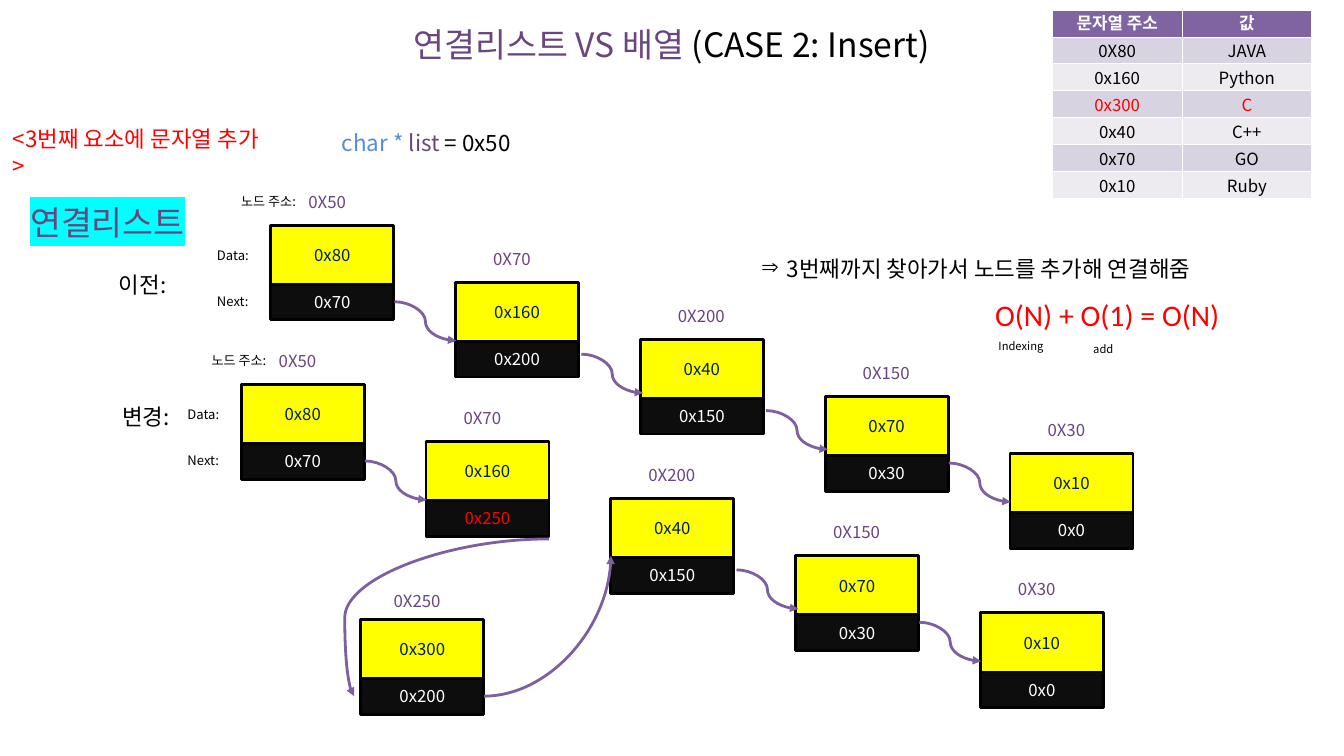
from dataclasses import dataclass

from lxml.etree import SubElement
from pptx import Presentation
from pptx.dml.color import RGBColor as RGB
from pptx.enum.shapes import MSO_CONNECTOR, MSO_SHAPE
from pptx.enum.text import MSO_ANCHOR, MSO_AUTO_SIZE, PP_ALIGN
from pptx.oxml.ns import qn
from pptx.util import Inches, Pt


@dataclass(frozen=True)
class Theme:
    """Colours, type sizes and fonts of the slide."""
    purple: str = "694680"
    arrow: str = "7D60A0"
    head: str = "8064A2"
    bands: tuple = ("D8D3E0", "EDEAF0")
    yellow: str = "FFFF00"
    dark: str = "0D0D0D"
    navy: str = "002060"
    blue: str = "558ED5"
    cyan: str = "00FFFF"
    red: str = "FF0000"
    black: str = "000000"
    white: str = "FFFFFF"
    title: int = 36
    formula: int = 32
    body: int = 24
    node: int = 18
    label: int = 14
    note: int = 12
    font: str = "Noto Sans CJK KR"
    latin: str = "Calibri"


T = Theme()
COLS, ROWS = 20, 11.25
UNIT = Inches(1)                 # one grid column = one grid row
NODE_W, DATA_H, NEXT_H = 1.83, 0.88, 0.54
STEP_X, STEP_Y = 2.75, 0.85      # from one node of a chain to the next
ARROW_W, ARROW_H = 0.92, 0.58


def grid(*cells):
    """Turn grid columns and rows into slide lengths."""
    return [int(c * UNIT) for c in cells]


def style(r, size, color, font=T.font, bold=False):
    """Format one run."""
    r.font.size, r.font.bold, r.font.name = Pt(size), bold, font
    r.font.color.rgb = RGB.from_string(color)
    SubElement(r.font._element, qn("a:ea"), typeface=font)


def text(slide, x, y, w, h, runs, size, font=T.font, wrap=False, align=None):
    """Place a text box whose runs are (text, colour) pairs; return its paragraph."""
    tf = slide.shapes.add_textbox(*grid(x, y, w, h)).text_frame
    tf.word_wrap = wrap
    tf.auto_size = MSO_AUTO_SIZE.SHAPE_TO_FIT_TEXT
    p = tf.paragraphs[0]
    p.alignment = align
    for words, color in runs:
        r = p.add_run()
        r.text = words
        style(r, size, color, font)
    return p


def cell_box(slide, x, y, h, words, fill, color):
    """Draw one compartment of a node."""
    sp = slide.shapes.add_shape(MSO_SHAPE.RECTANGLE, *grid(x, y, NODE_W, h))
    sp.shadow.inherit = False
    sp.fill.solid()
    sp.fill.fore_color.rgb = RGB.from_string(fill)
    sp.line.color.rgb = RGB.from_string(T.black)
    sp.line.width = Pt(3)
    tf = sp.text_frame
    tf.text = words
    tf.vertical_anchor = MSO_ANCHOR.MIDDLE
    tf.paragraphs[0].alignment = PP_ALIGN.CENTER
    style(tf.paragraphs[0].runs[0], T.node, color)


def node(slide, x, y, address, data, link, link_color=T.white, tag=(0.46, -0.55)):
    """Draw a node with its address above the top-left corner (x, y)."""
    cell_box(slide, x, y + DATA_H - 0.01, NEXT_H, link, T.dark, link_color)
    text(slide, x + tag[0], y + tag[1], 1, 0.4, [(address, T.purple)], T.node)
    cell_box(slide, x, y, DATA_H, data, T.yellow, T.navy)


def arrow(slide, x1, y1, x2, y2, preset="curvedConnector3", bend=None):
    """Draw a curved arrow between two points."""
    cn = slide.shapes.add_connector(MSO_CONNECTOR.CURVE, *grid(x1, y1, x2, y2))
    cn.line.color.rgb = RGB.from_string(T.arrow)
    cn.line.width = Pt(3)
    sp_pr = cn._element.spPr
    SubElement(sp_pr.find(qn("a:ln")), qn("a:tailEnd"), type="triangle")
    SubElement(sp_pr, qn("a:effectLst"))
    geom = sp_pr.find(qn("a:prstGeom"))
    geom.set("prst", preset)
    if bend:
        SubElement(geom.find(qn("a:avLst")), qn("a:gd"), name="adj1", fmla=f"val {bend}")


def chain(slide, x, y, nodes, arrow_starts):
    """Draw a descending chain; arrow_starts maps a node's index to its arrow offset."""
    for i, values in enumerate(nodes):
        node(slide, x + i * STEP_X, y + i * STEP_Y, *values)
    for i, (dx, dy) in arrow_starts.items():
        ax, ay = x + i * STEP_X + dx, y + i * STEP_Y + dy
        arrow(slide, ax, ay, ax + ARROW_W, ay + ARROW_H)
    for words, dx, dy, w in (("노드 주소:", -0.54, -0.52, 1.08),
                             ("Data:", -0.9, 0.28, 0.72), ("Next:", -0.9, 0.97, 0.72)):
        text(slide, x + dx, y + dy, w, 0.34, [(words, T.black)], T.label)


def address_table(slide, x, y, w, h, rows, red_row):
    """Draw the table of string addresses and values."""
    tbl = slide.shapes.add_table(len(rows), 2, *grid(x, y, w, h)).table
    for i, row in enumerate(rows):
        for j, words in enumerate(row):
            c = tbl.cell(i, j)
            c.text = words
            c.margin_top = c.margin_bottom = 0
            c.vertical_anchor = MSO_ANCHOR.MIDDLE
            c.fill.solid()
            c.fill.fore_color.rgb = RGB.from_string(T.bands[(i - 1) % 2] if i else T.head)
            p = c.text_frame.paragraphs[0]
            p.alignment = PP_ALIGN.CENTER
            color = T.red if i == red_row else T.black if i else T.white
            style(p.runs[0], T.node, color, T.font if i else T.latin, bold=not i)


def headings(slide):
    """Place the title, the task, the declaration and the row names."""
    text(slide, 5.58, 0.31, 8.83, 0.71,
         [("연결리스트 VS 배열 ", T.purple), ("(CASE 2: Insert)", T.black)],
         T.title, align=PP_ALIGN.CENTER)
    text(slide, 0.09, 1.81, 4, 0.87, [("<3번째 요소에 문자열 추가>", T.red)], T.body, wrap=True)
    text(slide, 4.99, 1.87, 3.21, 0.5,
         [("char *", T.blue), (" list", T.purple), (" = 0x50", T.black)], T.body)
    p = text(slide, 0.35, 2.96, 2.62, 0.71, [("연결리스트", T.purple)], T.title)
    mark = SubElement(p.runs[0].font._element, qn("a:highlight"))
    SubElement(mark, qn("a:srgbClr"), val=T.cyan)
    p.runs[0].font._element.find(qn("a:solidFill")).addnext(mark)
    for words, x, y in (("이전:", 1.67, 3.99), ("변경:", 1.72, 5.95)):
        text(slide, x, y, 0.94, 0.5, [(words, T.black)], T.body)


def conclusion(slide, x, y):
    """Place the finding and its cost formula from (x, y)."""
    p = text(slide, x, y, 7.03, 0.5,
             [("3번째까지 찾아가서 노드를 추가해 연결해줌", T.black)], T.body)
    p_pr = p._p.get_or_add_pPr()
    p_pr.set("marL", str(Inches(0.38)))
    p_pr.set("indent", str(-Inches(0.38)))
    SubElement(p_pr, qn("a:buChar"), char="⇒")
    text(slide, x + 3.48, y + 0.61, 3.58, 0.64, [("O(N) + O(1) = O(N)", T.red)],
         T.formula, T.latin)
    for words, dx, dy, w in (("Indexing", 3.53, 1.25, 0.91), ("add", 4.94, 1.29, 0.5)):
        text(slide, x + dx, y + dy, w, 0.3, [(words, T.black)], T.note)


prs = Presentation()
prs.slide_width, prs.slide_height = grid(COLS, ROWS)
s = prs.slides.add_slide(prs.slide_layouts[6])

before = [("0X50", "0x80", "0x70"), ("0X70", "0x160", "0x200"), ("0X200", "0x40", "0x150"),
          ("0X150", "0x70", "0x30"), ("0X30", "0x10", "0x0")]
after = before[:1] + [("0X70", "0x160", "0x250", T.red)] + before[2:]
starts = {0: (1.84, 1.14), 1: (1.87, 1.07), 2: (1.87, 1.06), 3: (1.84, 0.99)}

headings(s)
chain(s, 4.03, 3.35, before, starts)
address_table(s, 15.66, 0.15, 3.86, 2.8,
              [("문자열 주소", "값"), ("0X80", "JAVA"), ("0x160", "Python"), ("0x300", "C"),
               ("0x40", "C++"), ("0x70", "GO"), ("0x10", "Ruby")], red_row=3)
conclusion(s, 11.23, 3.75)
chain(s, 3.59, 5.72, after, {i: d for i, d in starts.items() if i != 1})
node(s, 5.37, 9.22, "0X250", "0x300", "0x200", tag=(0.39, -0.48))
arrow(s, 8.17, 8.02, 5.27, 10.36, bend=104800)
arrow(s, 7.2, 10.36, 9.09, 8.27, preset="curvedConnector2")

prs.save("out.pptx")
